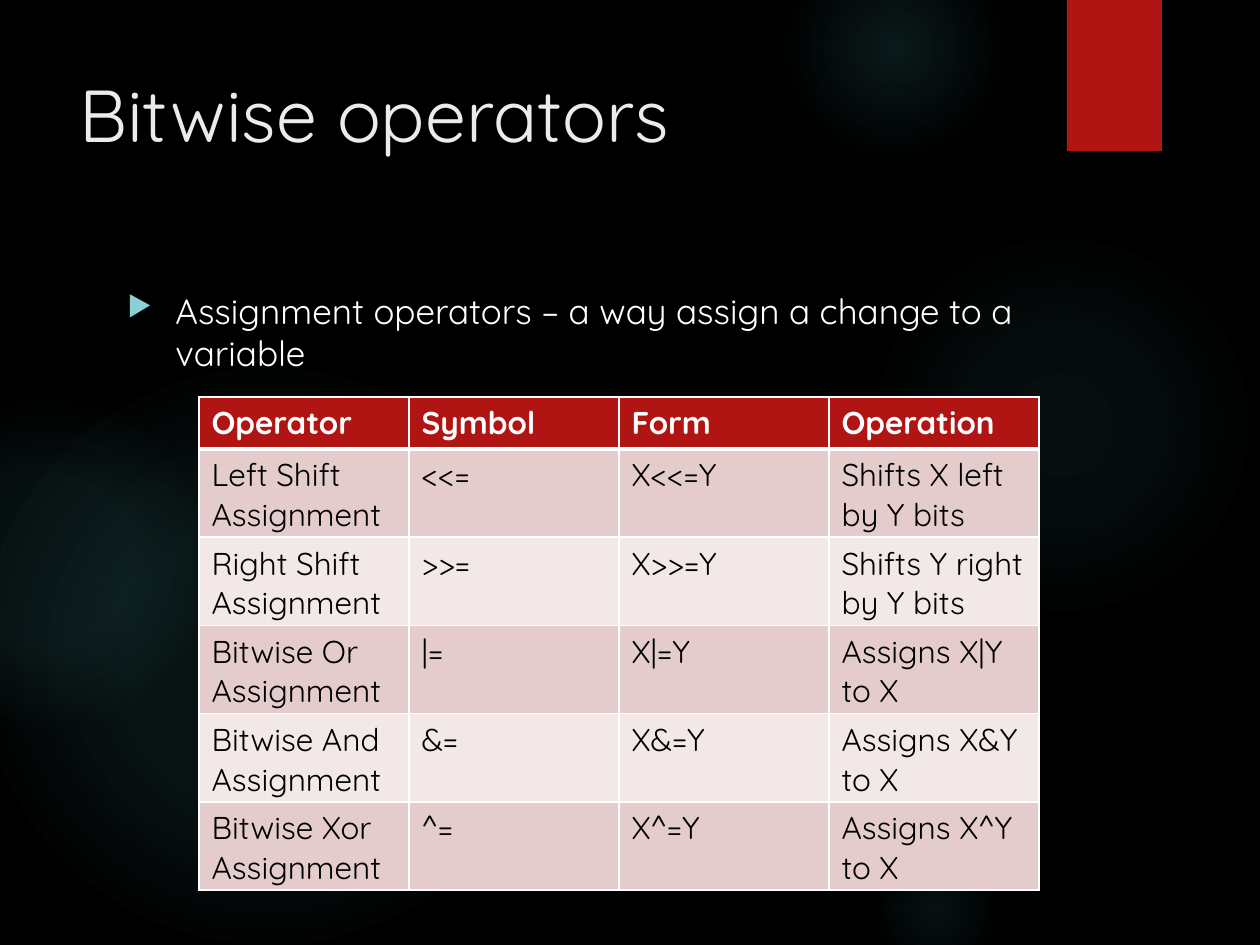
import dataclasses
import typing

import lxml.etree
import pptx
import pptx.dml.color
import pptx.enum.shapes
import pptx.enum.text
import pptx.oxml
import pptx.oxml.ns
import pptx.util

PX = 914400 // 126
A_NS = pptx.oxml.ns.nsdecls("a")


@dataclasses.dataclass(frozen=True)
class Theme:
    font: str = "Quicksand"
    back: str = "000000"
    red: str = "B01513"
    glow: str = "50B9C1"
    bullet: str = "8AD0D6"
    title: str = "EBEBEB"
    white: str = "FFFFFF"
    black: str = "000000"
    bands: tuple[str, str] = ("E4CCCC", "F2E8E7")
    title_size: int = 42
    body_size: int = 20
    cell_size: int = 18


class Glow(typing.NamedTuple):
    left: int
    top: int
    size: int
    stops: tuple[tuple[int, int], ...]  # (position %, opacity %)


THEME = Theme()
GLOWS = [
    Glow(868, 231, 388, ((0, 7), (36, 6), (69, 0))),
    Glow(784, -63, 220, ((0, 14), (36, 7), (73, 0))),
    Glow(868, 840, 136, ((0, 9), (36, 5), (66, 0))),
    Glow(-21, 368, 577, ((0, 11), (36, 10), (75, 0))),
    Glow(-116, 399, 325, ((0, 8), (36, 8), (72, 0))),
]
ROWS = [
    ("Operator", "Symbol", "Form", "Operation"),
    ("Left Shift Assignment", "<<=", "X<<=Y", "Shifts X left by Y bits"),
    ("Right Shift Assignment", ">>=", "X>>=Y", "Shifts Y right by Y bits"),
    ("Bitwise Or Assignment", "|=", "X|=Y", "Assigns X|Y to X"),
    ("Bitwise And Assignment", "&=", "X&=Y", "Assigns X&Y to X"),
    ("Bitwise Xor Assignment", "^=", "X^=Y", "Assigns X^Y to X"),
]


def px(*values: int) -> list[pptx.util.Emu]:
    return [pptx.util.Emu(v * PX) for v in values]


def rgb(color: str) -> pptx.dml.color.RGBColor:
    return pptx.dml.color.RGBColor.from_string(color)


def paint(target, color: str) -> None:
    target.fill.solid()
    target.fill.fore_color.rgb = rgb(color)


def add_run(p, text: str, size: int, color: str, bold: bool = False) -> None:
    r = p.add_run()
    r.text = text
    r.font.name = THEME.font
    r.font.size = pptx.util.Pt(size)
    r.font.bold = bold
    r.font.color.rgb = rgb(color)


def add_shape(s, kind, left: int, top: int, width: int, height: int):
    sp = s.shapes.add_shape(kind, *px(left, top, width, height))
    sp.shadow.inherit = False
    sp.line.fill.background()
    return sp


def add_glow(s, glow: Glow) -> None:
    sp = add_shape(s, pptx.enum.shapes.MSO_SHAPE.OVAL, glow.left, glow.top, glow.size, glow.size)
    stops = "".join(
        f'<a:gs pos="{pos * 1000}"><a:srgbClr val="{THEME.glow}">'
        f'<a:alpha val="{alpha * 1000}"/></a:srgbClr></a:gs>'
        for pos, alpha in glow.stops
    )
    fill = pptx.oxml.parse_xml(
        f'<a:gradFill {A_NS} rotWithShape="1"><a:gsLst>{stops}</a:gsLst><a:path path="circle">'
        '<a:fillToRect l="50000" t="50000" r="50000" b="50000"/></a:path></a:gradFill>'
    )
    sp.element.spPr.find(pptx.oxml.ns.qn("a:prstGeom")).addnext(fill)


def add_text(s, box: tuple[int, int, int, int], text: str, size: int, color: str):
    tf = s.shapes.add_textbox(*px(*box)).text_frame
    tf.word_wrap = True
    tf.vertical_anchor = pptx.enum.text.MSO_ANCHOR.TOP
    p = tf.paragraphs[0]
    add_run(p, text, size, color)
    return p


def add_bullet(p) -> None:
    p.space_before = pptx.util.Pt(10)
    pPr = p._p.get_or_add_pPr()
    indent = 48 * PX
    pPr.set("marL", str(indent))
    pPr.set("indent", str(-indent))
    for xml in (
        f'<a:buClr {A_NS}><a:srgbClr val="{THEME.bullet}"/></a:buClr>',
        f'<a:buSzPct {A_NS} val="80000"/>',
        f'<a:buChar {A_NS} char="\u25b6"/>',
    ):
        pPr.append(pptx.oxml.parse_xml(xml))


def set_borders(cell, top: int, bottom: int) -> None:
    tcPr = cell._tc.get_or_add_tcPr()
    for i, (side, width) in enumerate((("L", 1), ("R", 1), ("T", top), ("B", bottom))):
        tcPr.insert(i, pptx.oxml.parse_xml(
            f'<a:ln{side} {A_NS} w="{width * 12700}"><a:solidFill>'
            f'<a:srgbClr val="{THEME.white}"/></a:solidFill></a:ln{side}>'
        ))


def add_operator_table(s) -> None:
    frame = s.shapes.add_table(len(ROWS), len(ROWS[0]), *px(199, 397, 840, 493))
    table = frame.table
    for row in table.rows:
        row.height = px(52)[0]
    for i, texts in enumerate(ROWS):
        header = i == 0
        for j, text in enumerate(texts):
            cell = table.cell(i, j)
            paint(cell, THEME.red if header else THEME.bands[(i - 1) % 2])
            set_borders(cell, top=3 if i == 1 else 1, bottom=3 if header else 1)
            color = THEME.white if header else THEME.black
            add_run(cell.text_frame.paragraphs[0], text, THEME.cell_size, color, header)
    frame.height = px(493)[0]


prs = pptx.Presentation()
prs.slide_width, prs.slide_height = px(1260, 945)
s = prs.slides.add_slide(prs.slide_layouts[6])

# Backdrop
paint(s.background, THEME.back)
for glow in GLOWS:
    add_glow(s, glow)
paint(add_shape(s, pptx.enum.shapes.MSO_SHAPE.RECTANGLE, 1067, 0, 95, 151), THEME.red)

# Title and bullet
add_text(s, (67, 63, 973, 193), "Bitwise operators", THEME.title_size, THEME.title)
add_bullet(add_text(
    s, (115, 283, 925, 579),
    "Assignment operators \u2013 a way assign a change to a variable",
    THEME.body_size, THEME.white,
))

# Table
add_operator_table(s)

prs.save("out.pptx")
